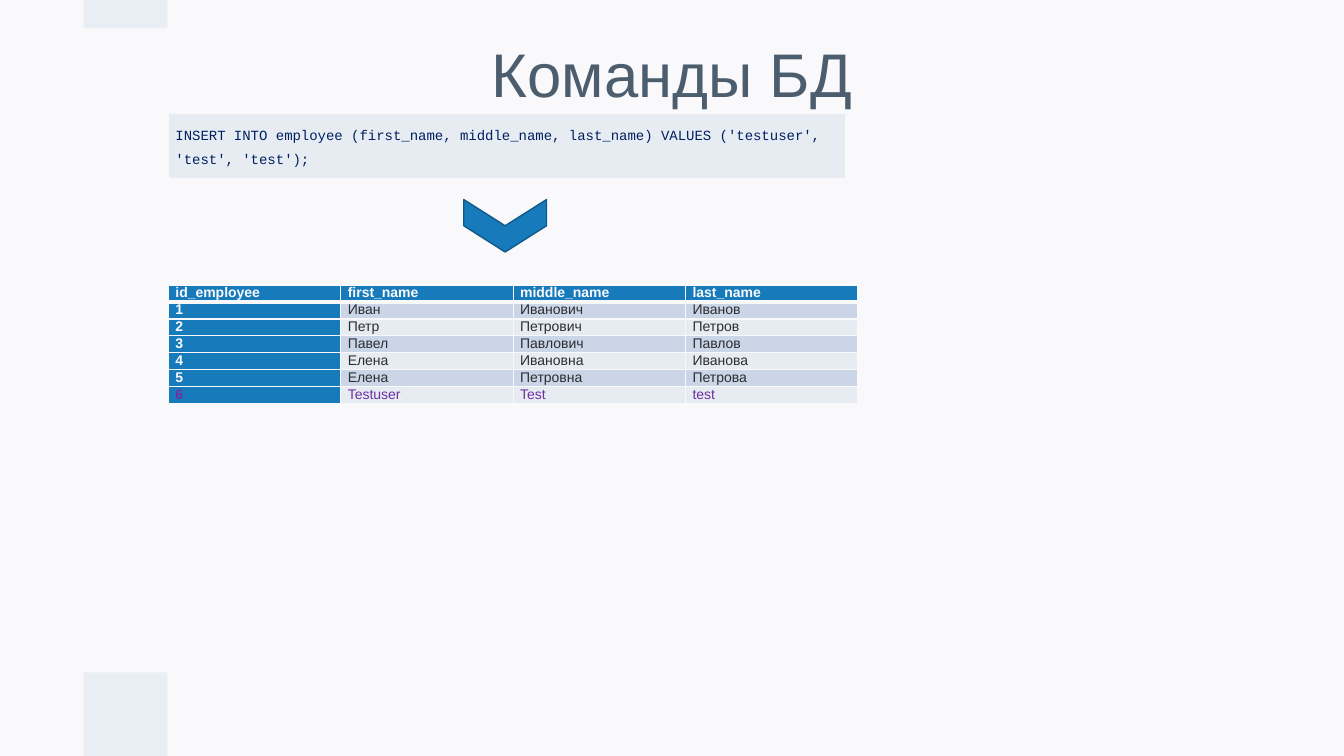
import pptx
import pptx.dml.color
import pptx.enum.shapes
import pptx.enum.text
import pptx.oxml
import pptx.oxml.ns
import pptx.util
from pptx.util import Inches

BACKGROUND = "F9F9FB"
BLUE = "177BBB"
PALE = "E7ECF3"
BAND = "CAD6E7"
PURPLE = "7030A0"


def paint(color_format, color):
    color_format.rgb = pptx.dml.color.RGBColor.from_string(color)


def write_cell(cell, text, font_name, color, fill, bold=False, inset=0, border_widths=(1, 1, 1, 1)):
    cell.margin_left = cell.margin_right = Inches(0.07)
    cell.margin_top = cell.margin_bottom = Inches(inset)
    properties = cell._tc.get_or_add_tcPr()
    for side, width in zip("LRTB", border_widths):
        properties.append(pptx.oxml.parse_xml(
            f'<a:ln{side} {pptx.oxml.ns.nsdecls("a")} w="{pptx.util.Pt(width)}">'
            f'<a:solidFill><a:srgbClr val="{BACKGROUND}"/></a:solidFill></a:ln{side}>'))
    cell.fill.solid()
    paint(cell.fill.fore_color, fill)
    run = cell.text_frame.paragraphs[0].add_run()
    run.text = text
    run.font.name = font_name
    run.font.size = pptx.util.Pt(10)
    run.font.bold = bold
    paint(run.font.color, color)


presentation = pptx.Presentation()
presentation.slide_width = Inches(13.33)
presentation.slide_height = Inches(7.5)
slide = presentation.slides.add_slide(presentation.slide_layouts[6])
slide.background.fill.solid()
paint(slide.background.fill.fore_color, BACKGROUND)

for top, height in ((6.67, 0.83), (0, 0.28)):
    block = slide.shapes.add_shape(
        pptx.enum.shapes.MSO_SHAPE.RECTANGLE,
        Inches(0.83), Inches(top), Inches(0.83), Inches(height))
    block.shadow.inherit = False
    block.fill.solid()
    paint(block.fill.fore_color, "E9EDF4")
    block.line.fill.background()

title = slide.shapes.add_textbox(Inches(1.67), Inches(0.4), Inches(9.99), Inches(0.73))
frame = title.text_frame
frame.word_wrap = True
frame.vertical_anchor = pptx.enum.text.MSO_ANCHOR.MIDDLE
frame.margin_left = frame.margin_right = Inches(0.13)
frame.margin_top = frame.margin_bottom = Inches(0.13)
paragraph = frame.paragraphs[0]
paragraph.alignment = pptx.enum.text.PP_ALIGN.CENTER
paragraph.line_spacing = 0.9
run = paragraph.add_run()
run.text = "Команды БД"
run.font.name = "Arial"
run.font.size = pptx.util.Pt(44)
paint(run.font.color, "4C5D6E")

employees = [
    ("id_employee", "first_name", "middle_name", "last_name"),
    ("1", "Иван", "Иванович", "Иванов"),
    ("2", "Петр", "Петрович", "Петров"),
    ("3", "Павел", "Павлович", "Павлов"),
    ("4", "Елена", "Ивановна", "Иванова"),
    ("5", "Елена", "Петровна", "Петрова"),
    ("6", "Testuser", "Test", "test"),
]
inserted_row = len(employees) - 1
employee_table = slide.shapes.add_table(
    len(employees), 4, Inches(1.67), Inches(2.83),
    Inches(4 * 1.71), Inches(len(employees) * 0.14)).table
employee_table.first_col = True
for row_index, employee in enumerate(employees):
    for column_index, text in enumerate(employee):
        heading = row_index == 0 or column_index == 0
        if row_index == inserted_row:
            color = PURPLE
        else:
            color = BACKGROUND if heading else "2C2D30"
        fill = BLUE if heading else (BAND if row_index % 2 else PALE)
        border_widths = (1, 1, 3 if row_index == 1 else 1, 3 if row_index == 0 else 1)
        write_cell(employee_table.cell(row_index, column_index), text, "Arial",
                   color, fill, heading, border_widths=border_widths)

query_table = slide.shapes.add_table(
    1, 1, Inches(1.67), Inches(1.13), Inches(6.72), Inches(0.24)).table
query_table.first_row = False
query_cell = query_table.cell(0, 0)
write_cell(query_cell,
           "INSERT INTO employee (first_name, middle_name, last_name) "
           "VALUES ('testuser', 'test', 'test');",
           "Courier New", "002060", PALE, inset=0.07)
query_cell.text_frame.paragraphs[0].line_spacing = 1.5

chevron = slide.shapes.add_shape(
    pptx.enum.shapes.MSO_SHAPE.CHEVRON,
    Inches(4.75), Inches(1.83), Inches(0.52), Inches(0.82))
chevron.rotation = 90
chevron.adjustments[0] = 0.5
chevron.shadow.inherit = False
chevron.fill.solid()
paint(chevron.fill.fore_color, BLUE)
paint(chevron.line.color, "105988")
chevron.line.width = pptx.util.Pt(1)

presentation.save("out.pptx")
